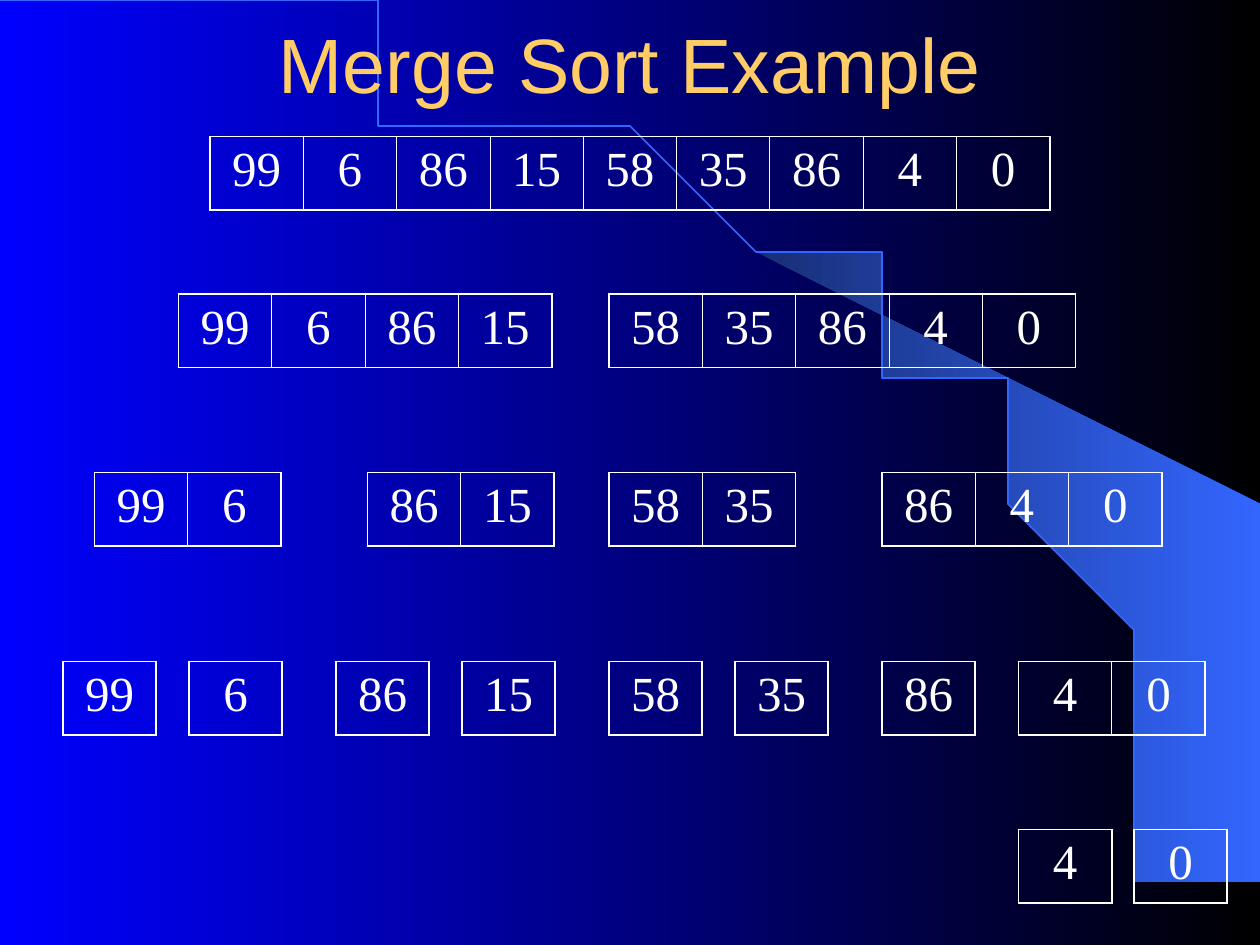
import math
from lxml import etree
from pptx import Presentation, util as u
from pptx.dml.color import RGBColor
from pptx.enum import text
from pptx.oxml import ns

WIDE, HIGH = 10, 7.5
UNIT = WIDE / 120            # the slide is a grid of 120 x 90 units
CELL_W, CELL_H = 20 / 27, 7 * UNIT
WHITE, GOLD, BLUE = "FFFFFF", "FFCC66", "3366FF"

NUMS = [99, 6, 86, 15, 58, 35, 86, 4, 0]
# Grid row of each level, then its parts: grid column, first and end index
LEVELS = [
    (13, [(20, 0, 9)]),
    (28, [(17, 0, 4), (58, 4, 9)]),
    (45, [(9, 0, 2), (35, 2, 4), (58, 4, 6), (84, 6, 9)]),
    (63, [(6, 0, 1), (18, 1, 2), (32, 2, 3), (44, 3, 4), (58, 4, 5),
          (70, 5, 6), (84, 6, 7), (97, 7, 9)]),
    (79, [(97, 7, 8), (108, 8, 9)]),
]
BEAM = [(9.2, 7.48), (9.99, 7.49), (9.99, 4.23), (5.89, 1.73), (6.24, 1.99),
        (6.53, 2.22), (6.85, 2.5), (7.16, 2.8), (7.62, 3.3), (8.03, 3.84),
        (8.32, 4.31), (8.58, 4.79), (8.78, 5.28), (8.93, 5.72), (9.03, 6.09),
        (9.13, 6.56), (9.17, 6.96), (9.2, 7.48)]


def color(code):
    return RGBColor.from_string(code)


def blend(fill, first, last):
    fill.gradient()
    fill.gradient_angle = 0
    for stop, code, place in zip(fill.gradient_stops, (first, last), (0, 1)):
        stop.color.rgb = color(code)
        stop.position = place


def style(para, font, size, code):
    para.alignment = text.PP_ALIGN.CENTER
    para.font.name = font
    para.font.size = u.Pt(size)
    para.font.color.rgb = color(code)


def outline(slide, points, close):
    pen = slide.shapes.build_freeform(*points[0], scale=u.Inches(1))
    pen.add_line_segments(points[1:], close=close)
    shape = pen.convert_to_shape()
    shape.shadow.inherit = False
    return shape


def add_decor(slide):
    blend(slide.background.fill, "0000FF", "000000")
    beam = outline(slide, BEAM, True)
    blend(beam.fill, "182F76", BLUE)
    beam.line.fill.background()

    # Quarter ellipse from the top left to the bottom right
    turns = [math.radians(deg) for deg in range(0, 91, 2)]
    arc = outline(slide, [(9.2 * math.sin(t), 7.49 * (1 - math.cos(t)))
                          for t in turns], False)
    arc.fill.background()
    arc.line.color.rgb = color(BLUE)
    arc.line.width = u.Pt(1)
    return beam, arc


def add_title(slide, words, behind):
    title = slide.shapes.title
    title.left, title.top = u.Inches(0.075 * WIDE), 0
    title.width, title.height = u.Inches(0.85 * WIDE), u.Inches(1)
    title.text_frame.text = words
    title.text_frame.vertical_anchor = text.MSO_ANCHOR.MIDDLE
    style(title.text_frame.paragraphs[0], "Arial", 44, GOLD)
    for shape in behind:
        title.element.addprevious(shape.element)


def add_edge(cell, side, points):
    props = cell._tc.get_or_add_tcPr()
    line = etree.SubElement(props, ns.qn("a:ln" + side), w=str(u.Pt(points)))
    fill = etree.SubElement(line, ns.qn("a:solidFill"))
    etree.SubElement(fill, ns.qn("a:srgbClr"), val=WHITE)


def add_list(slide, col, row, nums):
    count = len(nums)
    frame = slide.shapes.add_table(
        1, count, u.Inches(col * UNIT), u.Inches(row * UNIT),
        u.Inches(count * CELL_W), u.Inches(CELL_H))
    table = frame.table
    table.first_row = table.horz_banding = False
    for i, num in enumerate(nums):
        cell = table.cell(0, i)
        cell.text = str(num)
        para = cell.text_frame.paragraphs[0]
        style(para, "Times New Roman", 28, WHITE)
        para.space_before = u.Pt(7)
        # Heavy outer edges, thin dividers
        add_edge(cell, "L", 1.08 if i == 0 else 0.45)
        add_edge(cell, "R", 1.08 if i == count - 1 else 0.45)
        add_edge(cell, "T", 1.08)
        add_edge(cell, "B", 1.08)
        cell.fill.background()


def main():
    deck = Presentation()
    deck.slide_width, deck.slide_height = u.Inches(WIDE), u.Inches(HIGH)
    slide = deck.slides.add_slide(deck.slide_layouts[5])
    add_title(slide, "Merge Sort Example", add_decor(slide))
    for row, parts in LEVELS:
        for col, start, end in parts:
            add_list(slide, col, row, NUMS[start:end])
    deck.save("out.pptx")


if __name__ == "__main__":
    main()
